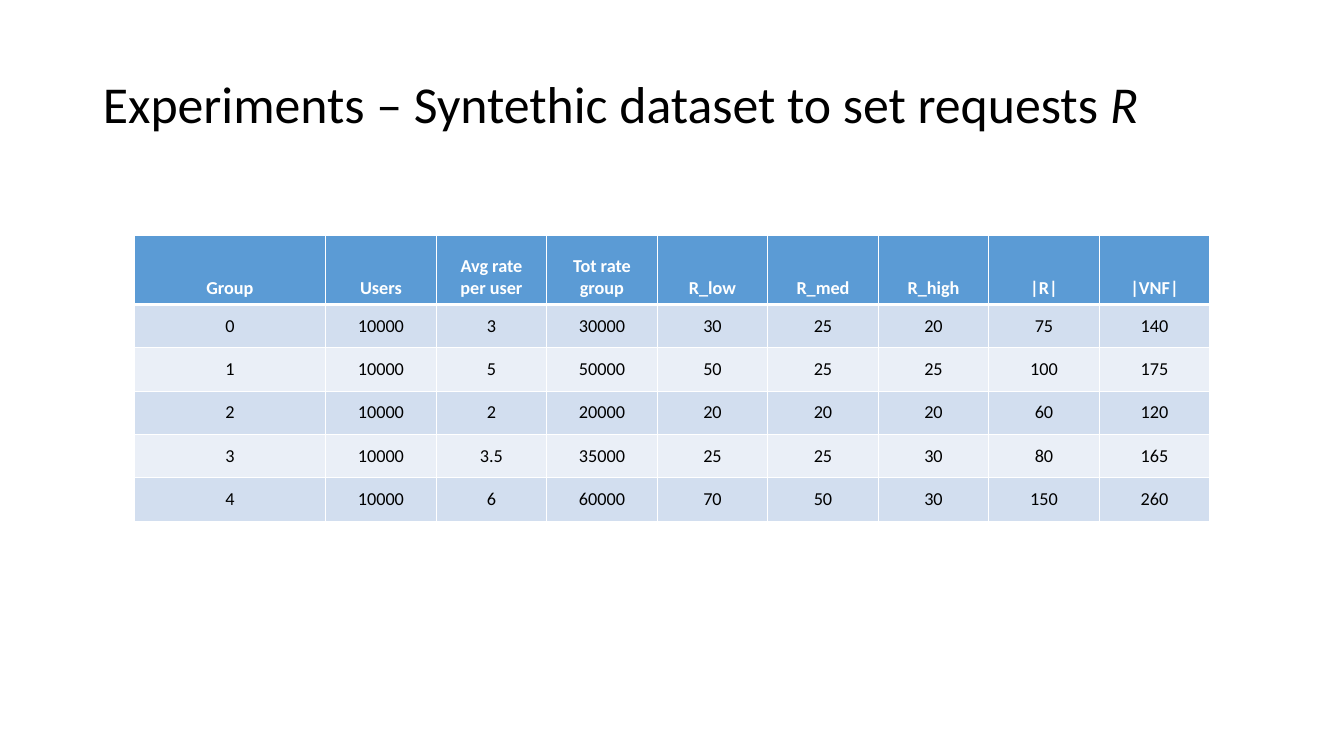
from lxml import etree
from pptx import Presentation
from pptx import util as u
from pptx.dml import color
from pptx.enum import text
from pptx.oxml import ns

PX = 9144
HEADINGS = ["Group", "Users", "Avg rate per user", "Tot rate group",
            "R_low", "R_med", "R_high", "|R|", "|VNF|"]
GROUPS = [
    ["0", "10000", "3", "30000", "30", "25", "20", "75", "140"],
    ["1", "10000", "5", "50000", "50", "25", "25", "100", "175"],
    ["2", "10000", "2", "20000", "20", "20", "20", "60", "120"],
    ["3", "10000", "3.5", "35000", "25", "25", "30", "80", "165"],
    ["4", "10000", "6", "60000", "70", "50", "30", "150", "260"],
]


def px(length):
    return u.Emu(length * PX)


def rgb(value):
    return color.RGBColor.from_string(value)


class SlideBuilder:
    """Draws styled elements on one slide."""

    font = "Calibri"
    black, white = "000000", "FFFFFF"
    header, bands = "5B9BD5", ("D2DEEF", "EAEFF7")

    def __init__(self, slide):
        self.slide = slide

    def style(self, run, size, tint, bold=False, italic=False):
        run.font.name = self.font
        run.font.size = u.Pt(size)
        run.font.color.rgb = rgb(tint)
        run.font.bold = bold
        run.font.italic = italic

    def title(self, wording, symbol, left, top, width, height):
        heading = self.slide.shapes.title
        heading.left, heading.top = px(left), px(top)
        heading.width, heading.height = px(width), px(height)
        frame = heading.text_frame
        frame.word_wrap = True
        frame.auto_size = text.MSO_AUTO_SIZE.NONE
        frame.vertical_anchor = text.MSO_ANCHOR.BOTTOM
        line = frame.paragraphs[0]
        line.text = wording
        line.add_run().text = symbol
        line.alignment = text.PP_ALIGN.LEFT
        line.line_spacing = 0.9
        for run in line.runs:
            self.style(run, 37, self.black, italic=run.text == symbol)

    def borders(self, cell, bottom):
        properties = cell._tc.get_or_add_tcPr()
        for side, points in (("L", 1), ("R", 1), ("T", 1), ("B", bottom)):
            edge = etree.SubElement(properties, ns.qn(f"a:ln{side}"), w=str(u.Pt(points)))
            paint = etree.SubElement(edge, ns.qn("a:solidFill"))
            etree.SubElement(paint, ns.qn("a:srgbClr"), val=self.white)

    def cell(self, cell, wording, row):
        is_header = row == 0
        self.borders(cell, 3 if is_header else 1)
        cell.fill.solid()
        cell.fill.fore_color.rgb = rgb(self.header if is_header else self.bands[(row - 1) % 2])
        cell.vertical_anchor = text.MSO_ANCHOR.BOTTOM if is_header else text.MSO_ANCHOR.MIDDLE
        if row > 2:
            cell.margin_left = cell.margin_right = px(12)
            cell.margin_top = cell.margin_bottom = px(6)
        line = cell.text_frame.paragraphs[0]
        line.text = wording
        line.alignment = text.PP_ALIGN.CENTER
        self.style(line.runs[0], 13, self.white if is_header else self.black, bold=is_header)

    def table(self, records, left, top, width, first_width, header_height, row_height):
        height = header_height + row_height * (len(records) - 1)
        grid = self.slide.shapes.add_table(
            len(records), len(records[0]), px(left), px(top), px(width), px(height)).table
        other_width = px(width - first_width) // (len(records[0]) - 1)
        for index, column in enumerate(grid.columns):
            column.width = other_width if index else px(first_width)
        for row, record in enumerate(records):
            grid.rows[row].height = px(row_height if row else header_height)
            for column, wording in enumerate(record):
                self.cell(grid.cell(row, column), wording, row)


def main():
    deck = Presentation()
    deck.slide_width, deck.slide_height = px(1333), px(750)
    builder = SlideBuilder(deck.slides.add_slide(deck.slide_layouts[5]))
    builder.title("Experiments – Syntethic dataset to set requests ", "R", 92, 28, 1149, 111)
    builder.table([HEADINGS] + GROUPS, 133, 234, 1067, 190, 68, 43)
    deck.save("out.pptx")


if __name__ == "__main__":
    main()
